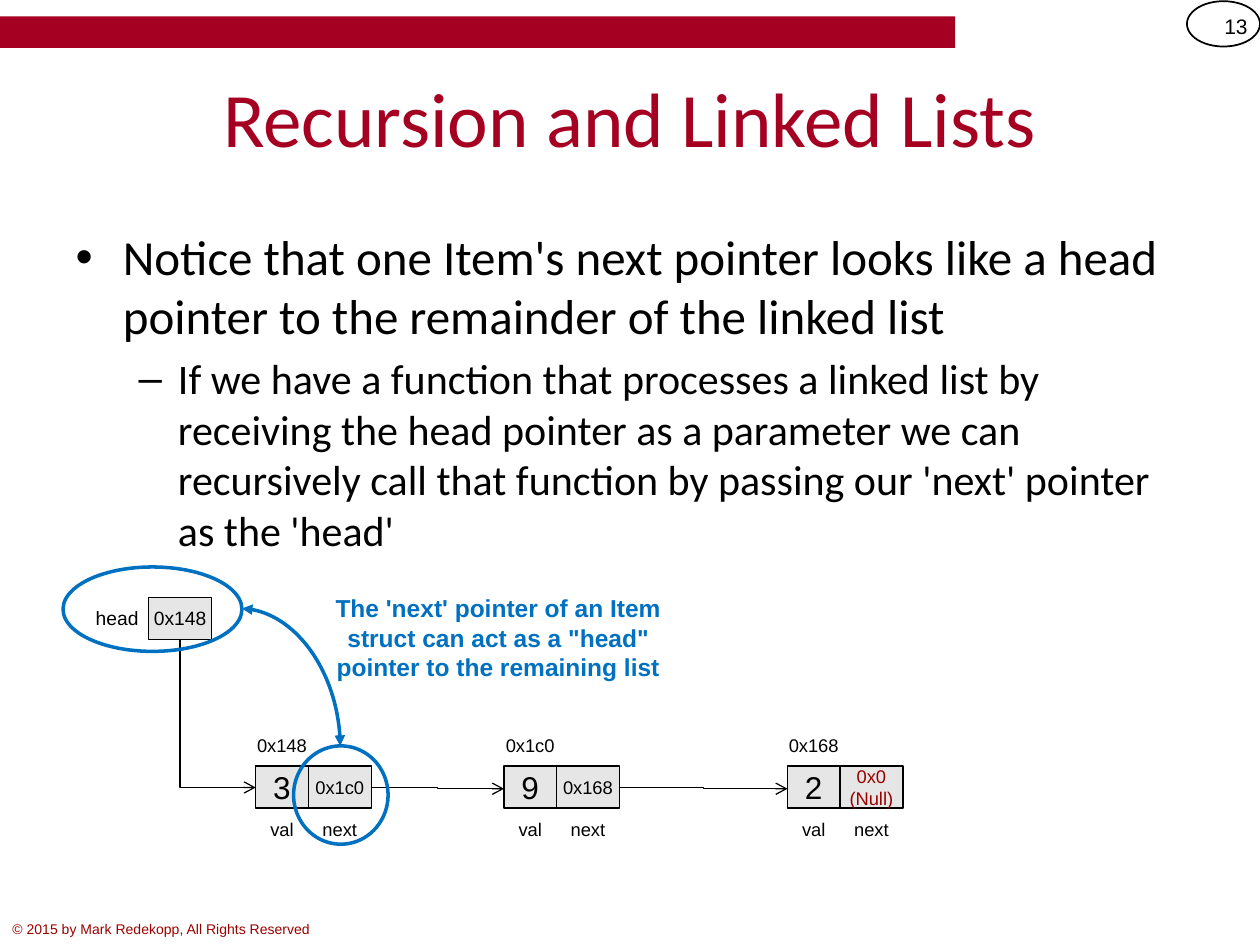
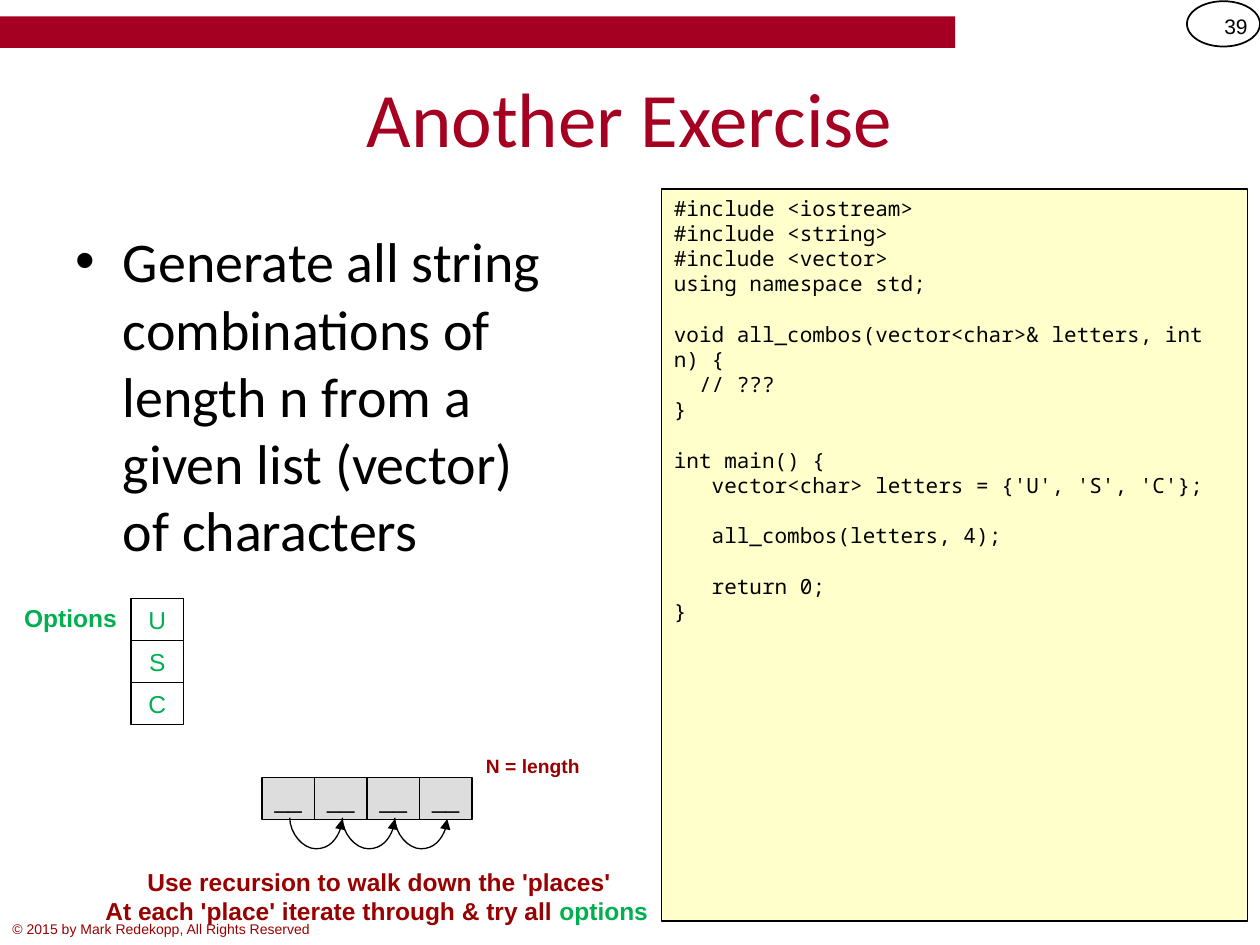
from dataclasses import dataclass
from typing import NamedTuple, Optional

from lxml import etree
from pptx import Presentation
from pptx import slide as sl
from pptx import util as u
from pptx.dml.color import RGBColor
from pptx.enum import shapes, text
from pptx.oxml.ns import qn

Kind = shapes.MSO_SHAPE
Side = text.PP_ALIGN
Hold = text.MSO_ANCHOR


@dataclass(frozen=True)
class Theme:
    brand: str = "A50021"
    dark: str = "990000"
    black: str = "000000"
    blue: str = "0070C0"
    green: str = "00B050"
    node: str = "E6E6E6"
    place: str = "DDDDDD"
    white: str = "FFFFFF"
    paper: str = "FFFFCC"
    head: str = "Calibri"
    sans: str = "Arial"
    mono: str = "Noto Sans Mono"
    title: float = 44
    large: float = 32
    body: float = 28
    sub: float = 24
    value: float = 18
    note: float = 14
    code: float = 12
    label: float = 11
    small: float = 10.5
    foot: float = 8
    gap: float = 14.4
    thin: float = 0.75
    mid: float = 1
    bold: float = 2


T = Theme()
CELL = 5 / 12
ROW = 1 / 3
WIDE = 0.5


@dataclass(frozen=True)
class Box:
    left: float
    top: float
    width: float
    height: float
    words: str = ""
    size: float = T.note
    color: str = T.black
    kind: Optional[Kind] = None
    fill: Optional[str] = None
    edge: Optional[str] = None
    line: float = T.thin
    bold: bool = False
    pad: float = 0.1
    align: Side = Side.CENTER
    anchor: Hold = Hold.MIDDLE


class Node(NamedTuple):
    left: float
    addr: str
    val: str
    next: str
    color: str = T.black


class Link(NamedTuple):
    start: tuple[float, float]
    end: tuple[float, float]
    form: str
    tail: str
    head: str = ""
    color: str = T.black
    line: float = T.thin
    down: bool = False
    bend: int = 0


class Item(NamedTuple):
    words: str
    level: int
    size: float


def rgb(code: str) -> RGBColor:
    return RGBColor.from_string(code)


def say(para, words: str, face: str, size: float, color: str,
        bold: bool = False) -> None:
    for num, part in enumerate(words.split("\n")):
        if num:
            para.add_line_break()
        run = para.add_run()
        run.text = part
        run.font.name = face
        run.font.size = u.Pt(size)
        run.font.bold = bold
        run.font.color.rgb = rgb(color)


def put(page: sl.Slide, box: Box):
    area = [u.Inches(n) for n in (box.left, box.top, box.width, box.height)]
    if box.kind is None:
        shape = page.shapes.add_textbox(*area)
    else:
        shape = page.shapes.add_shape(box.kind, *area)
        shape.shadow.inherit = False
        if box.fill:
            shape.fill.solid()
            shape.fill.fore_color.rgb = rgb(box.fill)
        else:
            shape.fill.background()
        if box.edge:
            shape.line.color.rgb = rgb(box.edge)
            shape.line.width = u.Pt(box.line)
        else:
            shape.line.fill.background()
    frame = shape.text_frame
    frame.word_wrap = True
    frame.vertical_anchor = box.anchor
    frame.margin_left = frame.margin_right = u.Inches(box.pad)
    para = frame.paragraphs[0]
    para.alignment = box.align
    if box.words:
        say(para, box.words, T.sans, box.size, box.color, box.bold)
    return shape


def join(page: sl.Slide, link: Link) -> None:
    (x1, y1), (x2, y2) = link.start, link.end
    if link.down:
        cx, cy = (x1 + x2) / 2, (y1 + y2) / 2
        half, rise = (y2 - y1) / 2, (x2 - x1) / 2
        x1, x2, y1, y2 = cx - half, cx + half, cy - rise, cy + rise
    ends = [u.Inches(n) for n in (x1, y1, x2, y2)]
    line = page.shapes.add_connector(shapes.MSO_CONNECTOR.ELBOW, *ends)
    line.line.color.rgb = rgb(link.color)
    line.line.width = u.Pt(link.line)
    prop = line.element.spPr
    if link.down:
        prop.xfrm.set("rot", "16200000")
        prop.xfrm.set("flipH", "1")
    geom = prop.find(qn("a:prstGeom"))
    geom.set("prst", link.form)
    if link.bend:
        etree.SubElement(geom.find(qn("a:avLst")), qn("a:gd"),
                         name="adj1", fmla=f"val {link.bend}")
    for tag, kind in (("a:headEnd", link.head), ("a:tailEnd", link.tail)):
        if kind:
            etree.SubElement(prop.find(qn("a:ln")), qn(tag), type=kind)
    etree.SubElement(prop, qn("a:effectLst"))


def start(deck, name: str, num: str, items: list[Item],
          width: float, height: float) -> sl.Slide:
    page = deck.slides.add_slide(deck.slide_layouts[1])
    put(page, Box(9.42, 0.01, 0.58, 0.4, num, T.code, align=Side.RIGHT))
    put(page, Box(0, 0.13, 7.58, 0.25, kind=Kind.RECTANGLE, fill=T.brand))
    put(page, Box(9.42, 0.01, 0.58, 0.36, kind=Kind.OVAL, edge=T.black,
                  line=T.mid))
    put(page, Box(0, 7.26, 5.33, 0.24,
                  "© 2015 by Mark Redekopp, All Rights Reserved", T.foot,
                  T.dark, align=Side.LEFT, anchor=Hold.TOP))
    title, body = page.shapes.title, page.placeholders[1]
    spots = ((title, (0.5, 0.3, 9, 1.25)), (body, (0.5, 1.75, width, height)))
    for shape, area in spots:
        shape.left, shape.top, shape.width, shape.height = map(u.Inches, area)
        shape.text_frame.auto_size = text.MSO_AUTO_SIZE.NONE
    para = title.text_frame.paragraphs[0]
    para.alignment = Side.CENTER
    say(para, name, T.head, T.title, T.brand)
    frame = body.text_frame
    for num, item in enumerate(items):
        para = frame.add_paragraph() if num else frame.paragraphs[0]
        para.level = item.level
        if not num:
            para.space_before = u.Pt(0)
        say(para, item.words, T.head, item.size, T.black)
    return page


def cell(left: float, top: float, words: str, size: float = T.small,
         color: str = T.black, fill: Optional[str] = None,
         width: float = CELL) -> Box:
    return Box(left, top, width, ROW, words, size, color,
               kind=Kind.RECTANGLE if fill else None, fill=fill,
               edge=T.black if fill else None, pad=0)


def lists(deck) -> None:
    page = start(deck, "Recursion and Linked Lists", "13", [
        Item("Notice that one Item's next pointer looks like a head pointer "
             "to the remainder of the linked list", 0, T.body),
        Item("If we have a function that processes a linked list by "
             "receiving the head pointer as a parameter we can recursively "
             "call that function by passing our 'next' pointer as the "
             "'head'", 1, T.sub)], 9, 2.75)
    nodes = [Node(2.03, "0x148", "3", "0x1c0"),
             Node(4, "0x1c0", "9", "0x168"),
             Node(6.25, "0x168", "2", "0x0\n(Null)", T.dark)]
    top = 6.08
    for node in nodes:
        side = node.left + CELL
        for box in (
                cell(node.left, top + ROW, "val"),
                cell(side, top + ROW, "next", width=WIDE),
                cell(node.left, top, node.val, T.value, fill=T.node),
                cell(side, top, node.next, color=node.color, fill=T.node,
                     width=WIDE),
                cell(node.left, top - ROW, node.addr)):
            put(page, box)
    put(page, cell(1.18, 4.74, "0x148", T.label, fill=T.node, width=WIDE))
    put(page, cell(0.68, 4.74, "head", T.label, width=WIDE))
    join(page, Link((1.43, 5.07), (2.03, 6.25), "bentConnector2", "arrow",
                    down=True))
    for one, two in zip(nodes, nodes[1:]):
        join(page, Link((one.left + CELL + WIDE, 6.25), (two.left, 6.26),
                        "bentConnector3", "arrow"))
    for area in ((0.5, 4.5, 1.42, 0.67), (2.33, 5.92, 0.75, 0.78)):
        put(page, Box(*area, kind=Kind.OVAL, edge=T.blue, line=T.bold))
    join(page, Link((1.92, 4.83), (2.7, 5.92), "curvedConnector2",
                    "triangle", "triangle", T.blue, T.bold))
    put(page, Box(2.4, 4.64, 3.11, 0.84,
                  "The 'next' pointer of an Item struct can act as a "
                  "\"head\" pointer to the remaining list",
                  color=T.blue, bold=True))


CODE = """#include <iostream>
#include <string>
#include <vector>
using namespace std;

void all_combos(vector<char>& letters, int n) {
  // ???
}

int main() {
   vector<char> letters = {'U', 'S', 'C'};

   all_combos(letters, 4);

   return 0;
}"""


def combos(deck) -> None:
    page = start(deck, "Another Exercise", "39", [
        Item("Generate all string combinations of length n from a given "
             "list (vector) of characters", 0, T.large)], 4, 2.92)
    frame = put(page, Box(5.25, 1.5, 4.65, 5.81, kind=Kind.RECTANGLE,
                          fill=T.paper, edge=T.black, align=Side.LEFT,
                          anchor=Hold.TOP)).text_frame
    for num, block in enumerate(CODE.split("\n\n")):
        for row, words in enumerate(block.split("\n")):
            first = not num and not row
            para = frame.paragraphs[0] if first else frame.add_paragraph()
            para.alignment = Side.LEFT
            if num and not row:
                para.space_before = u.Pt(T.gap)
            say(para, words, T.mono, T.code, T.black)
    count = 4
    for num in range(count):
        put(page, cell(2.08 + num * CELL, 6.17, "__", T.note, fill=T.place))
    for num, char in enumerate("USC"):
        put(page, cell(1.04, 4.75 + num * ROW, char, T.note, T.green,
                       T.white))
    for num in range(count - 1):
        mid = 2.3 + num * CELL
        join(page, Link((mid, 6.49), (mid + CELL, 6.5), "curvedConnector3",
                        "triangle", down=True, bend=2500000))
    notes = [(0.08, 4.73, 0.96, "Options", T.note, T.green),
             (3.75, 5.91, 0.96, "N = length", T.label, T.dark),
             (0.71, 6.83, 4.6, "Use recursion to walk down the 'places'",
              T.note, T.dark),
             (0.69, 7.06, 4.6, "At each 'place' iterate through & try all ",
              T.note, T.dark)]
    for left, top, width, words, size, color in notes:
        last = put(page, Box(left, top, width, 0.34, words, size, color,
                             bold=True, pad=0))
    say(last.text_frame.paragraphs[0], "options", T.sans, T.note, T.green,
        True)


def main() -> None:
    deck = Presentation()
    deck.slide_width, deck.slide_height = u.Inches(10), u.Inches(7.5)
    lists(deck)
    combos(deck)
    deck.save("out.pptx")


if __name__ == "__main__":
    main()
